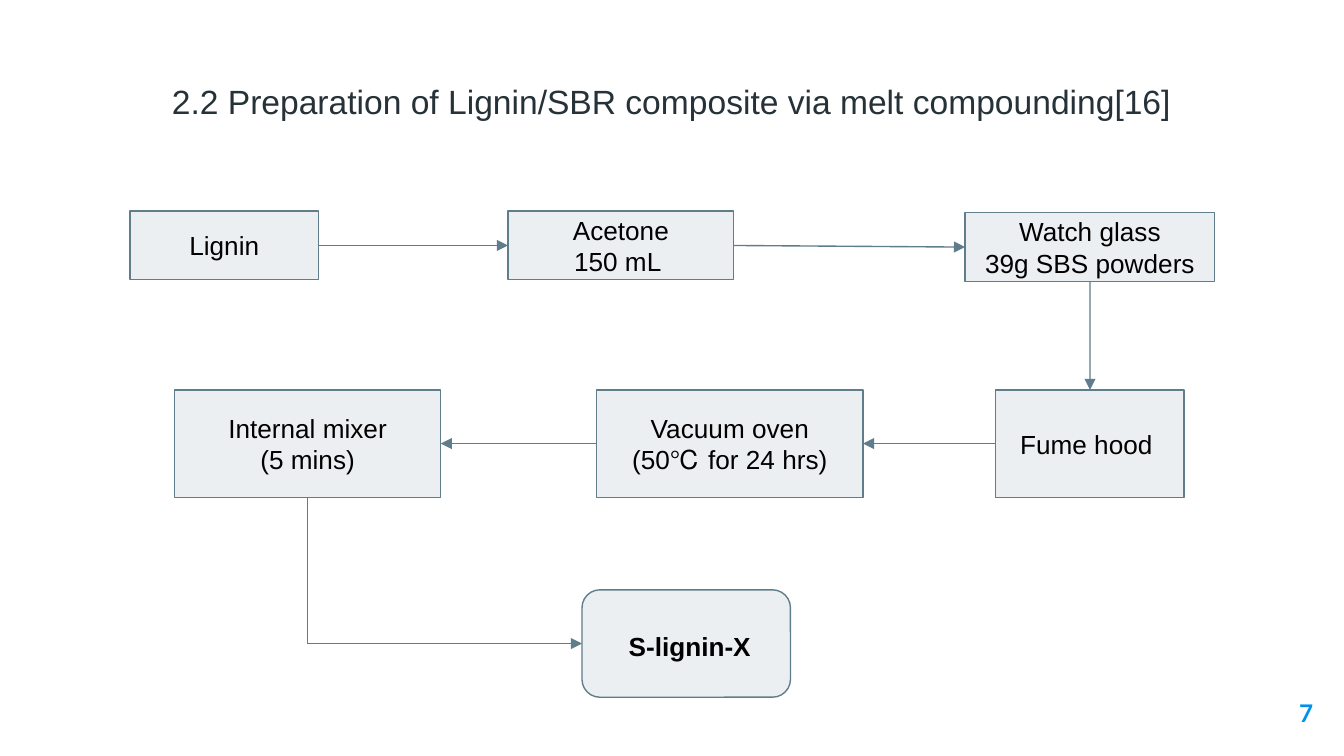
import pptx
import pptx.dml.color
import pptx.enum.shapes
import pptx.enum.text
import pptx.oxml
import pptx.oxml.ns
import pptx.util
from pptx.util import Cm

COLOURS = {
    "title": "263238",
    "box": "ECEFF1",
    "line": "607D8B",
    "text": "000000",
    "number": "0091EA",
}
TOP, LEFT, BOTTOM, RIGHT = range(4)
ALIGN = pptx.enum.text.PP_ALIGN
ANCHOR = pptx.enum.text.MSO_ANCHOR
SHAPES = pptx.enum.shapes.MSO_SHAPE

# name: (left, top, width, height, lines), in cm within the flow chart
STEPS = {
    "lignin": (0, 0, 3.56, 1.3, ["Lignin"]),
    "acetone": (7.14, 0, 4.27, 1.3, ["Acetone", "150 mL "]),
    "watch glass": (15.78, 0.03, 4.72, 1.3, ["Watch glass", "39g SBS powders"]),
    "fume hood": (16.36, 3.38, 3.56, 2.03, ["Fume hood "]),
    "vacuum oven": (8.82, 3.38, 5.03, 2.03, ["Vacuum oven", "(50℃ for 24 hrs)"]),
    "mixer": (0.84, 3.38, 5.03, 2.03, ["Internal mixer", "(5 mins)"]),
    "product": (8.54, 7.16, 3.94, 2.03, [" S-lignin-X"]),
}
ARROWS = [
    ("lignin", RIGHT, "acetone", LEFT),
    ("acetone", RIGHT, "watch glass", LEFT),
    ("watch glass", BOTTOM, "fume hood", TOP),
    ("fume hood", LEFT, "vacuum oven", RIGHT),
    ("vacuum oven", LEFT, "mixer", RIGHT),
]


def colour(name):
    return pptx.dml.color.RGBColor.from_string(COLOURS[name])


def write_lines(shape, lines, size, colour_name, font="Arial", bold=False,
                align=ALIGN.CENTER, anchor=ANCHOR.MIDDLE):
    frame = shape.text_frame
    frame.word_wrap = True
    frame.auto_size = pptx.enum.text.MSO_AUTO_SIZE.NONE
    frame.vertical_anchor = anchor
    frame.margin_left = frame.margin_right = Cm(0.25)
    frame.margin_top = frame.margin_bottom = Cm(0.25)
    for index, line in enumerate(lines):
        paragraph = frame.add_paragraph() if index else frame.paragraphs[0]
        paragraph.alignment = align
        run = paragraph.add_run()
        run.text = line
        run.font.name = font
        run.font.size = pptx.util.Pt(size)
        run.font.bold = bold
        run.font.color.rgb = colour(colour_name)


def add_title(slide, left, top, width, height):
    title = slide.shapes.title
    title.left, title.top = Cm(left), Cm(top)
    title.width, title.height = Cm(width), Cm(height)
    write_lines(title, ["2.2 Preparation of Lignin/SBR composite via melt compounding[16]"],
                18, "title", anchor=ANCHOR.TOP)
    title.text_frame.paragraphs[0].space_before = pptx.util.Pt(6)


def add_step(slide, left, top, width, height, lines, final):
    kind = SHAPES.ROUNDED_RECTANGLE if final else SHAPES.RECTANGLE
    shape = slide.shapes.add_shape(kind, Cm(left), Cm(top), Cm(width), Cm(height))
    shape.shadow.inherit = False
    shape.fill.solid()
    shape.fill.fore_color.rgb = colour("box")
    shape.line.color.rgb = colour("line")
    shape.line.width = pptx.util.Pt(0.75)
    write_lines(shape, lines, 14, "text", bold=final)
    if final:
        shape.text_frame.paragraphs[0].line_spacing = 1.15
    return shape


def add_line(slide, start=(0, 0), end=(0, 0), arrow=True):
    line = slide.shapes.add_connector(
        pptx.enum.shapes.MSO_CONNECTOR.STRAIGHT, *start, *end)
    line.line.color.rgb = colour("line")
    line.line.width = pptx.util.Pt(0.75)
    if arrow:
        tail = pptx.oxml.parse_xml(
            f'<a:tailEnd {pptx.oxml.ns.nsdecls("a")} type="triangle"/>')
        line.line._get_or_add_ln().append(tail)
    properties = line._element.spPr
    properties.append(pptx.oxml.parse_xml(
        f'<a:effectLst {pptx.oxml.ns.nsdecls("a")}/>'))
    return line


def add_flow_chart(slide, left, top):
    shapes = {}
    for name, (x, y, width, height, lines) in STEPS.items():
        shapes[name] = add_step(slide, left + x, top + y, width, height, lines,
                                final=name == "product")
    for source, source_side, target, target_side in ARROWS:
        arrow = add_line(slide)
        arrow.begin_connect(shapes[source], source_side)
        arrow.end_connect(shapes[target], target_side)

    mixer, product = shapes["mixer"], shapes["product"]
    corner = (mixer.left + mixer.width // 2, product.top + product.height // 2)
    branch = add_line(slide, start=corner, end=(product.left, corner[1]))
    branch.end_connect(product, LEFT)
    stem = add_line(slide, start=(corner[0], mixer.top + mixer.height),
                    end=corner, arrow=False)
    stem.begin_connect(mixer, BOTTOM)


def add_page_number(slide, left, top, width, height):
    box = slide.shapes.add_textbox(Cm(left), Cm(top), Cm(width), Cm(height))
    write_lines(box, ["7"], 13, "number", font="Lato", bold=True,
                align=ALIGN.RIGHT, anchor=ANCHOR.TOP)


def main():
    presentation = pptx.Presentation()
    presentation.slide_width, presentation.slide_height = Cm(25.4), Cm(14.29)
    title_only = presentation.slide_layouts[5]
    slide = presentation.slides.add_slide(title_only)
    add_title(slide, 0.51, 1.27, 24.36, 2.74)
    add_flow_chart(slide, 2.46, 3.99)
    add_page_number(slide, 23.55, 12.95, 1.52, 1.09)
    presentation.save("out.pptx")


if __name__ == "__main__":
    main()
